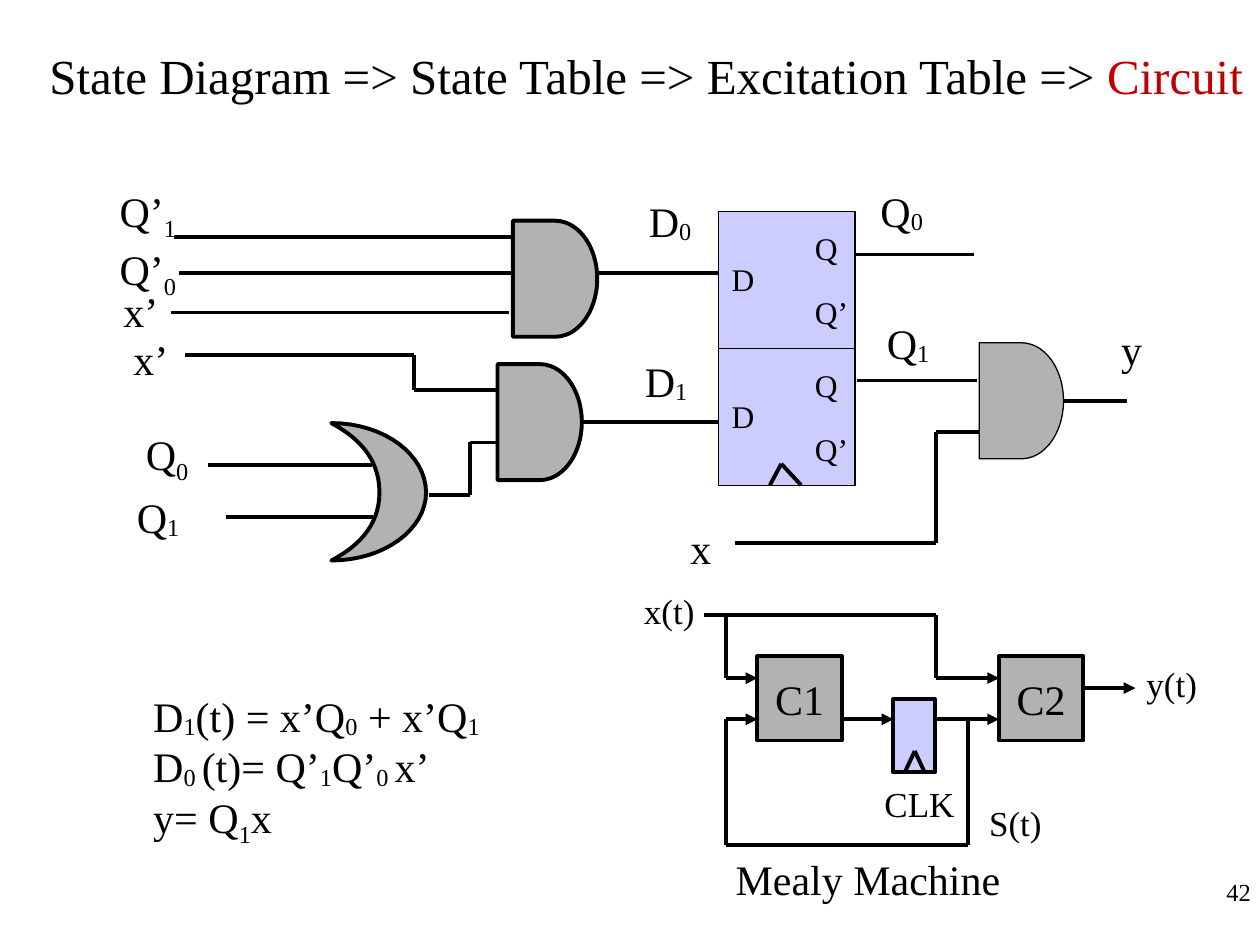
import pptx
import pptx.util
import pptx.dml.color
import pptx.enum.shapes
import pptx.enum.text
from lxml import etree

Cm, Pt = pptx.util.Cm, pptx.util.Pt
RGBColor = pptx.dml.color.RGBColor
MSO_SHAPE = pptx.enum.shapes.MSO_SHAPE
STRAIGHT = pptx.enum.shapes.MSO_CONNECTOR.STRAIGHT
PP_ALIGN = pptx.enum.text.PP_ALIGN
MSO_ANCHOR = pptx.enum.text.MSO_ANCHOR
MSO_AUTO_SIZE = pptx.enum.text.MSO_AUTO_SIZE

BLACK = RGBColor(0x00, 0x00, 0x00)
RED = RGBColor(0xC0, 0x00, 0x00)
GREY = RGBColor(0xB2, 0xB2, 0xB2)
LILAC = RGBColor(0xCC, 0xCC, 0xFF)
FONT = "Times New Roman"
THICK, THIN = 2.25, 0.75

# Content: "|" parts the runs, "_" marks a slight subscript, "~" a deep one, "!" red
TITLE = "State Diagram => State Table => Excitation Table => |!Circuit"
EQUATIONS = ["D|_1|(t) = x’Q|_0| + x’Q|_1",
             "D|_0 |(t)= Q’|_1|Q’|_0 |x’",
             "y= Q|~1|x"]
BASELINES = {"_": "-8000", "~": "-25000"}
LINE_HEIGHT = {18: 1.02, 20: 1.12, 24: 1.27}

# Labels: text, size, left, top, width (cm)
LABELS = [
    ("Q|_0", 24, 17.5, 3.61, 1.37),
    ("Q|_1", 24, 17.63, 6.27, 1.37),
    ("D|_0", 24, 12.83, 3.81, 1.37),
    ("D|_1", 24, 12.75, 7.04, 1.37),
    ("Q’|~1", 24, 2.16, 3.61, 1.65),
    ("Q’|~0", 24, 2.16, 4.78, 1.65),
    ("x’", 24, 2.24, 5.64, 1.22),
    ("x’", 24, 2.44, 6.6, 1.22),
    ("Q|~0", 24, 2.69, 8.51, 1.37),
    ("Q|_1", 24, 2.51, 9.78, 1.37),
    ("x", 24, 13.67, 10.41, 0.91),
    ("y", 24, 22.35, 6.4, 0.91),
    ("x(t)", 20, 12.73, 11.76, 1.52),
    ("y(t)", 20, 22.86, 13.23, 1.52),
    ("CLK", 20, 17.58, 15.65, 1.9),
    ("S(t)", 20, 19.69, 16.03, 1.55),
    ("Mealy Machine", 24, 14.58, 17.09, 5.84),
]

# Flip-flops: stacked squares with the same pin labels
FF_LEFT, FF_TOP, FF_SIZE = 14.48, 4.27, 2.76
PINS = [("D", 0.02, 0.84, 0.97), ("Q", 1.7, 0.22, 0.97), ("Q’", 1.7, 1.51, 1.17)]

# AND gates: left, top, outline
AND_GATES = [(10.34, 4.45, THICK), (10.03, 7.34, THICK), (19.74, 6.91, THIN)]

# OR gate: start point, then Bezier curves
OR_START = (6.68, 8.53)
OR_CURVES = [
    ((7.16, 8.79), (7.65, 9.19), (7.65, 9.93)),
    ((7.65, 10.64), (7.16, 11.05), (6.68, 11.3)),
    ((7.75, 11.3), (8.59, 10.67), (8.59, 9.93)),
    ((8.59, 9.17), (7.75, 8.53), (6.68, 8.53)),
]

# Mealy machine blocks: text, left, top, width, height, fill
BLOCKS = [("C1", 15.27, 13.23, 1.7, 1.7, GREY),
          ("C2", 20.14, 13.23, 1.7, 1.7, GREY),
          ("", 18.01, 14.1, 0.84, 1.47, LILAC)]

WIRES = [
    # inputs and output of the D0 gate
    [(3.51, 4.78), (10.34, 4.78)],
    [(3.61, 5.51), (10.34, 5.51)],
    [(3.45, 6.3), (10.26, 6.3)],
    [(12.04, 5.51), (14.48, 5.51)],
    # OR gate and D1 gate
    [(4.19, 9.37), (7.49, 9.37)],
    [(4.55, 10.43), (7.52, 10.43)],
    [(8.64, 9.98), (9.47, 9.98), (9.47, 8.92), (10.03, 8.92)],
    [(3.73, 7.16), (8.35, 7.16), (8.35, 7.87), (10.03, 7.87)],
    [(11.73, 8.51), (14.48, 8.51)],
    # flip-flop outputs, output gate, clock mark
    [(17.24, 5.13), (19.63, 5.13)],
    [(17.27, 7.67), (19.69, 7.67)],
    [(14.81, 10.95), (18.87, 10.95), (18.87, 8.71), (19.74, 8.71)],
    [(21.44, 8.08), (22.71, 8.08)],
    [(15.52, 9.78), (15.75, 9.35), (16.15, 9.78)],
    # clock mark of the state register
    [(18.24, 15.57), (18.44, 15.14), (18.64, 15.57)],
]
ARROWS = [
    [(14.2, 12.4), (18.87, 12.4), (18.87, 13.67), (20.14, 13.67)],
    [(14.63, 12.4), (14.63, 13.67), (15.27, 13.67)],
    [(16.97, 14.5), (18.01, 14.5)],
    [(18.85, 14.5), (20.14, 14.5)],
    [(21.82, 13.87), (22.89, 13.87)],
    [(19.51, 14.5), (19.51, 17.04), (14.63, 17.04), (14.63, 14.5), (15.27, 14.5)],
]

prs = pptx.Presentation()
prs.slide_width, prs.slide_height = Cm(25.4), Cm(19.05)
s = prs.slides.add_slide(prs.slide_layouts[5])


def write(sp, lines, size=24, align=PP_ALIGN.LEFT, anchor=MSO_ANCHOR.TOP,
          wrap=False, fit=MSO_AUTO_SIZE.NONE):
    tf = sp.text_frame
    tf.word_wrap, tf.auto_size, tf.vertical_anchor = wrap, fit, anchor
    for i, line in enumerate(lines):
        p = tf.add_paragraph() if i else tf.paragraphs[0]
        p.alignment = align
        for part in line.split("|"):
            r = p.add_run()
            r.text = part.lstrip("_~!")
            r.font.name, r.font.size = FONT, Pt(size)
            r.font.color.rgb = RED if part[0] == "!" else BLACK
            if part[0] in BASELINES:
                r.font._element.set("baseline", BASELINES[part[0]])


def label(lines, left, top, width, height, **fmt):
    box = s.shapes.add_textbox(Cm(left), Cm(top), Cm(width), Cm(height))
    write(box, lines, **fmt)


def paint(sp, fill, weight):
    sp.shadow.inherit = False
    sp.fill.solid()
    sp.fill.fore_color.rgb = fill
    sp.line.color.rgb, sp.line.width = BLACK, Pt(weight)


def block(kind, left, top, width, height, fill, weight):
    sp = s.shapes.add_shape(kind, Cm(left), Cm(top), Cm(width), Cm(height))
    paint(sp, fill, weight)
    return sp


def wire(points, arrow=False):
    for a, b in zip(points, points[1:]):
        c = s.shapes.add_connector(STRAIGHT, *[Cm(v) for v in a + b])
        c.line.color.rgb, c.line.width = BLACK, Pt(THICK)
        etree.SubElement(c._element.spPr, pptx.oxml.ns.qn("a:effectLst"))
    if arrow:
        etree.SubElement(c.line._get_or_add_ln(), pptx.oxml.ns.qn("a:tailEnd"), type="triangle")


def bezier(p0, p1, p2, p3, steps=16):
    for t in [i / steps for i in range(1, steps + 1)]:
        u = 1 - t
        yield tuple(Cm(u**3 * a + 3 * u * u * t * b + 3 * u * t * t * c + t**3 * d)
                    for a, b, c, d in zip(p0, p1, p2, p3))


# Title
title = s.shapes.title
title.left, title.top, title.width, title.height = Cm(0.74), Cm(0.79), Cm(24.7), Cm(2.64)
write(title, [TITLE], size=28, wrap=True)

# Flip-flops with pins
for row in range(2):
    top = FF_TOP + row * FF_SIZE
    block(MSO_SHAPE.RECTANGLE, FF_LEFT, top, FF_SIZE, FF_SIZE, LILAC, THIN)
    for text, dx, dy, width in PINS:
        label([text], FF_LEFT + dx, top + dy, width, LINE_HEIGHT[18], size=18)

# Gates
for left, top, weight in AND_GATES:
    block(MSO_SHAPE.FLOWCHART_DELAY, left, top, 1.7, 2.34, GREY, weight)
fb = s.shapes.build_freeform(Cm(OR_START[0]), Cm(OR_START[1]))
start = OR_START
for curve in OR_CURVES:
    fb.add_line_segments(list(bezier(start, *curve)), close=False)
    start = curve[-1]
fb.add_line_segments([], close=True)
paint(fb.convert_to_shape(), GREY, THICK)

# Mealy machine blocks
for text, left, top, width, height, fill in BLOCKS:
    sp = block(MSO_SHAPE.RECTANGLE, left, top, width, height, fill, THICK)
    if text:
        write(sp, [text], align=PP_ALIGN.CENTER, anchor=MSO_ANCHOR.MIDDLE)

# Wires and arrows
for points in WIRES:
    wire(points)
for points in ARROWS:
    wire(points, arrow=True)

# Labels, equations and page number
for text, size, left, top, width in LABELS:
    label([text], left, top, width, LINE_HEIGHT[size], size=size)
label(EQUATIONS, 2.84, 13.79, 7.09, 3.45)
label(["42"], 24.23, 17.55, 1.24, 1.27, size=14, align=PP_ALIGN.RIGHT, wrap=True)

prs.save("out.pptx")
